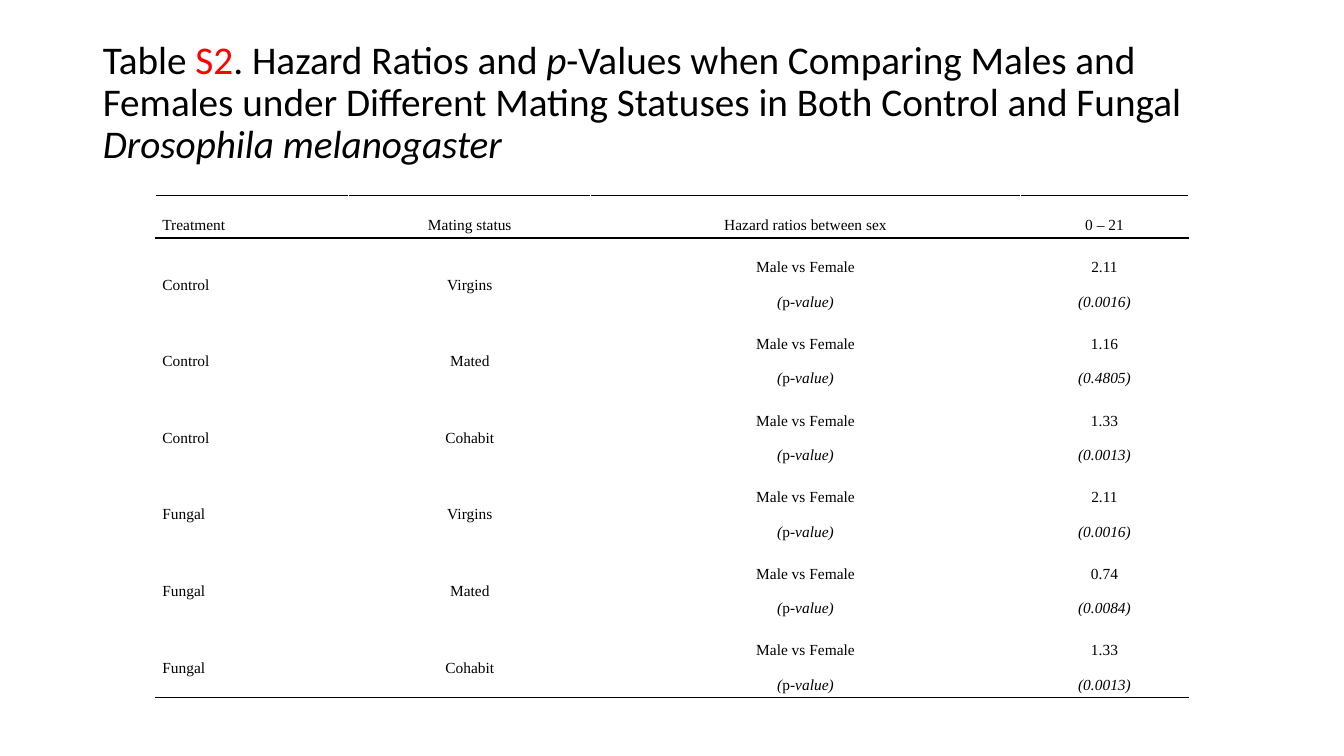
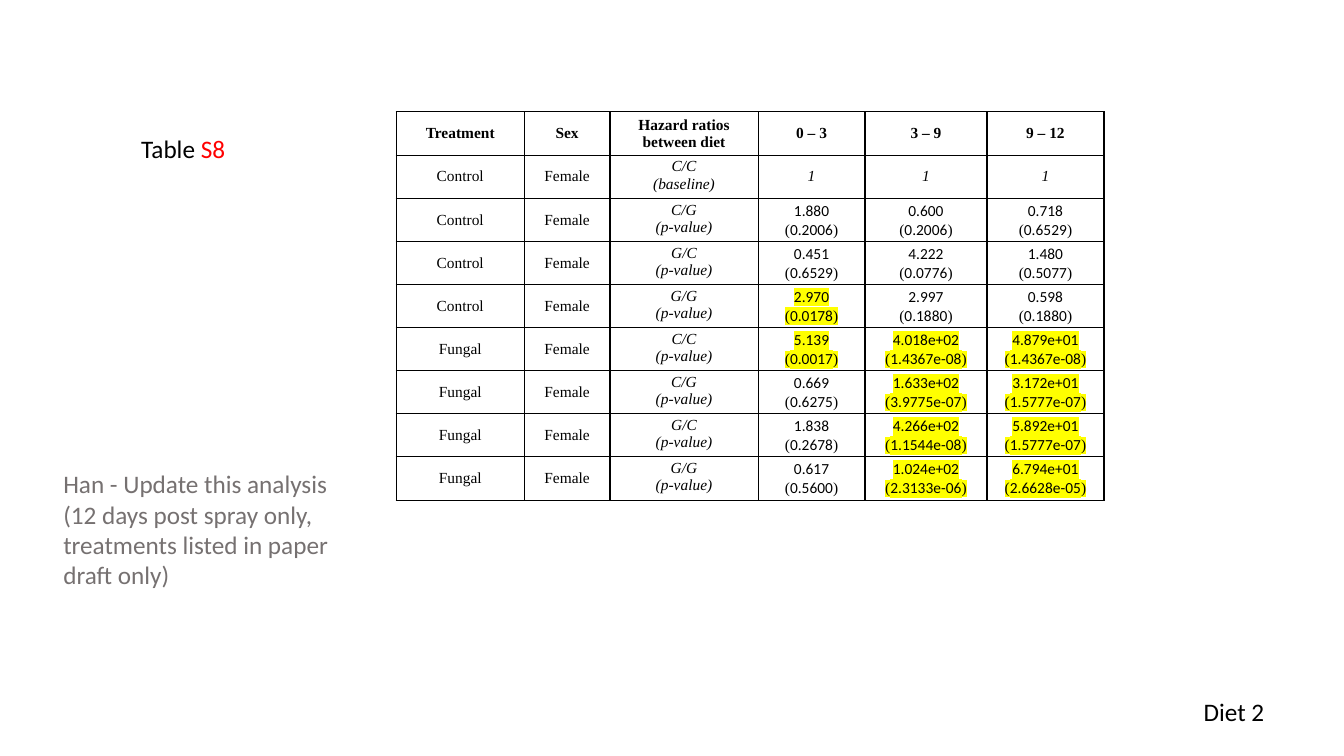
from lxml import etree
from pptx import Presentation
from pptx.dml.color import RGBColor
from pptx.enum.text import MSO_ANCHOR as ANCHOR, PP_ALIGN as ALIGN
from pptx.oxml.ns import qn
from pptx.util import Inches, Pt

COLORS = {"black": "000000", "red": "FF0000", "gray": "767171", "yellow": "FFFF00"}
SANS, SERIF = "Calibri", "Times New Roman"
ITALIC, BOLD, RED = {"italic": True}, {"bold": True}, {"color": "red"}
SIGNIFICANT = 0.05

SEX_TITLE = [
    ("Table ", {}), ("S2", RED), (". Hazard Ratios and ", {}), ("p", ITALIC),
    ("-Values when Comparing Males and Females under Different Mating Statuses "
     "in Both Control and Fungal ", {}),
    ("Drosophila melanogaster", ITALIC),
]
SEX_HEADER = ["Treatment", "Mating status", "Hazard ratios between sex", "0 – 21"]
SEX_ROWS = [
    ("Control", "Virgins", "2.11", "0.0016"),
    ("Control", "Mated", "1.16", "0.4805"),
    ("Control", "Cohabit", "1.33", "0.0013"),
    ("Fungal", "Virgins", "2.11", "0.0016"),
    ("Fungal", "Mated", "0.74", "0.0084"),
    ("Fungal", "Cohabit", "1.33", "0.0013"),
]
SEX_WIDTHS = [1.92, 2.4, 4.26, 1.67]
SEX_HEIGHTS = [0.37] + [0.73] * 6

DIET_TITLE = [("Table ", {}), ("S8", RED)]
DIET_NOTE = ("Han - Update this analysis (12 days post spray only, "
             "treatments listed in paper draft only)")
DIET_LABEL = "Diet 2"
DIET_HEADER = ["Treatment", "Sex", "Hazard ratios between diet", "0 – 3", "3 – 9", "9 – 12"]
DIET_ROWS = [
    ("Control", "C/C", []),
    ("Control", "C/G", [("1.880", "0.2006"), ("0.600", "0.2006"), ("0.718", "0.6529")]),
    ("Control", "G/C", [("0.451", "0.6529"), ("4.222", "0.0776"), ("1.480", "0.5077")]),
    ("Control", "G/G", [("2.970", "0.0178"), ("2.997", "0.1880"), ("0.598", "0.1880")]),
    ("Fungal", "C/C", [("5.139", "0.0017"), ("4.018e+02", "1.4367e-08"),
                       ("4.879e+01", "1.4367e-08")]),
    ("Fungal", "C/G", [("0.669", "0.6275"), ("1.633e+02", "3.9775e-07"),
                       ("3.172e+01", "1.5777e-07")]),
    ("Fungal", "G/C", [("1.838", "0.2678"), ("4.266e+02", "1.1544e-08"),
                       ("5.892e+01", "1.5777e-07")]),
    ("Fungal", "G/G", [("0.617", "0.5600"), ("1.024e+02", "2.3133e-06"),
                       ("6.794e+01", "2.6628e-05")]),
]
DIET_WIDTHS = [1.27, 0.85, 1.47, 1.06, 1.21, 1.16]
DIET_HEIGHTS = [0.43] + [0.42] * 6 + [0.43] * 2


def add_run(p, text, size, font=SANS, color="black", bold=False, italic=False, highlight=None):
    r = p.add_run()
    r.text = text
    r.font.size, r.font.bold, r.font.italic = Pt(size), bold, italic
    r.font.color.rgb = RGBColor.from_string(COLORS[color])
    r.font.name = font
    if highlight:
        mark = etree.Element(qn("a:highlight"))
        etree.SubElement(mark, qn("a:srgbClr"), val=COLORS[highlight])
        r.font.fill
        r._r.rPr.find(qn("a:solidFill")).addnext(mark)


def write(tf, paragraphs, size, align=ALIGN.LEFT, spacing=1.0, **style):
    for n, runs in enumerate(paragraphs):
        p = tf.paragraphs[0] if n == 0 else tf.add_paragraph()
        p.alignment, p.line_spacing = align, spacing
        for text, own in runs:
            add_run(p, text, size, **{**style, **own})


def place(sp, box):
    sp.left, sp.top, sp.width, sp.height = (Inches(v) for v in box)


def add_title_slide(prs, runs, box, size, spacing=1.0, wrap=True):
    s = prs.slides.add_slide(prs.slide_layouts[5])
    place(s.shapes.title, box)
    tf = s.shapes.title.text_frame
    tf.word_wrap, tf.vertical_anchor = wrap, ANCHOR.TOP
    write(tf, [runs], size, spacing=spacing)
    return s


def add_label(s, text, box, wrap, color="black"):
    tf = s.shapes.add_textbox(*(Inches(v) for v in box)).text_frame
    tf.word_wrap = wrap
    write(tf, [[(text, {})]], 18, color=color)


def set_borders(cell, sides):
    tcPr = cell._tc.get_or_add_tcPr()
    for n, side in enumerate(sides):
        ln = etree.Element(qn("a:ln" + side), w=str(Pt(1)))
        fill = etree.SubElement(ln, qn("a:solidFill"))
        etree.SubElement(fill, qn("a:srgbClr"), val=COLORS["black"])
        tcPr.insert(n, ln)


def add_grid(s, rows, left, top, widths, heights, insets, borders, top_cols,
             left_cols=(), spacing=1.0):
    frame = s.shapes.add_table(len(rows), len(widths), Inches(left), Inches(top),
                               Inches(sum(widths)), Inches(sum(heights)))
    table = frame.table
    table.first_row = table.horz_banding = False
    for col, width in zip(table.columns, widths):
        col.width = Inches(width)
    for y, (row, height) in enumerate(zip(rows, heights)):
        table.rows[y].height = Inches(height)
        for x, paragraphs in enumerate(row):
            cell = table.cell(y, x)
            cell.fill.background()
            cell.margin_left = cell.margin_right = Inches(insets[0])
            cell.margin_top = cell.margin_bottom = Inches(insets[1])
            cell.vertical_anchor = ANCHOR.TOP if y and x in top_cols else ANCHOR.MIDDLE
            write(cell.text_frame, paragraphs, 11, ALIGN.LEFT if x in left_cols else ALIGN.CENTER,
                  spacing, font=SERIF)
            set_borders(cell, borders(y))


def plain(text, style=None):
    return [[(text, style or {})]]


def sex_row(treatment, status, ratio, p_value):
    label = [[("Male vs Female", {})], [("(", ITALIC), ("p", {}), ("-value)", ITALIC)]]
    return [plain(treatment), plain(status), label,
            [[(ratio, {})], [(f"({p_value})", ITALIC)]]]


def ratio_cell(ratio, p_value):
    mark = {"highlight": "yellow"} if float(p_value) < SIGNIFICANT else {}
    number = {"font": SANS, **mark}
    return [[(ratio, number)], [("(", mark), (p_value, number), (")", mark)]]


def diet_row(treatment, diet, results):
    kind = "(p-value)" if results else "(baseline)"
    values = [ratio_cell(*pair) for pair in results] or [plain("1", ITALIC)] * 3
    return [plain(treatment), plain("Female"), [[(diet, ITALIC)], [(kind, ITALIC)]]] + values


def sex_borders(y):
    return {0: ["T", "B"], 1: ["T"], len(SEX_ROWS): ["B"]}.get(y, [])


def main():
    prs = Presentation()
    prs.slide_width, prs.slide_height = Inches(13.33), Inches(7.5)

    s = add_title_slide(prs, SEX_TITLE, (0.92, 0.35, 11.5, 1.4), 28, spacing=0.9)
    rows = [[plain(h) for h in SEX_HEADER]] + [sex_row(*row) for row in SEX_ROWS]
    add_grid(s, rows, 1.54, 1.94, SEX_WIDTHS, SEX_HEIGHTS, (0.07, 0.04), sex_borders,
             top_cols=(2, 3), left_cols=(0,), spacing=2.0)

    s = add_title_slide(prs, DIET_TITLE, (1.3, 1.27, 1.04, 0.4), 18, wrap=False)
    add_label(s, DIET_NOTE, (0.53, 4.6, 3.17, 1.31), wrap=True, color="gray")
    add_label(s, DIET_LABEL, (11.84, 6.86, 0.81, 0.4), wrap=False)
    rows = [[plain(h, BOLD) for h in DIET_HEADER]] + [diet_row(*row) for row in DIET_ROWS]
    add_grid(s, rows, 3.93, 1.11, DIET_WIDTHS, DIET_HEIGHTS, (0.05, 0.03),
             lambda y: ["L", "R", "T", "B"], top_cols=(2,))

    prs.save("out.pptx")


if __name__ == "__main__":
    main()
